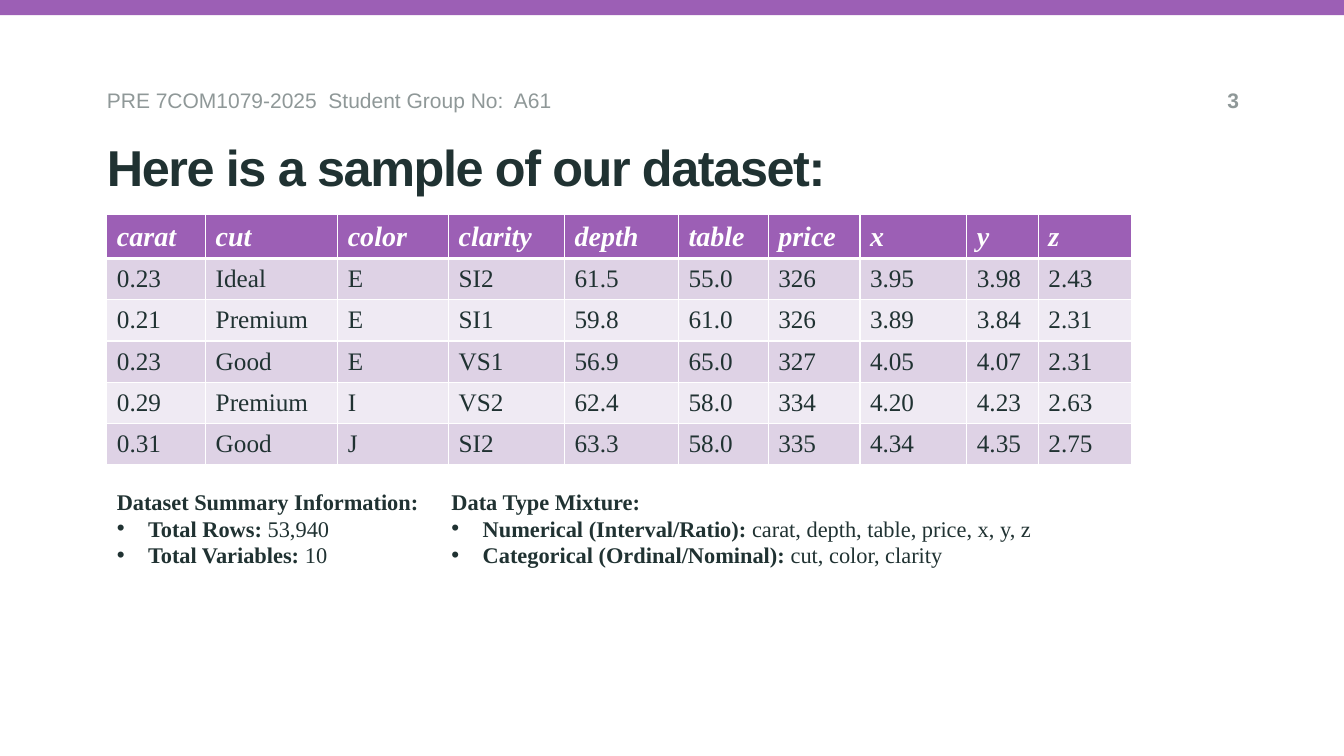
from dataclasses import dataclass

import lxml.etree
import pptx
import pptx.dml.color
import pptx.enum.shapes
import pptx.enum.text
import pptx.oxml
import pptx.oxml.ns
import pptx.shapes.autoshape
import pptx.slide
import pptx.table
import pptx.text.text
import pptx.util
from pptx.dml.color import RGBColor
from pptx.util import Inches, Pt

PURPLE = RGBColor(0x9C, 0x5F, 0xB5)
DARK_BAND = RGBColor(0xDE, 0xD2, 0xE5)
LIGHT_BAND = RGBColor(0xEF, 0xEA, 0xF3)
INK = RGBColor(0x20, 0x32, 0x32)
GREY = RGBColor(0x8F, 0x98, 0x98)
WHITE = RGBColor(0xFF, 0xFF, 0xFF)
SANS = "Arial"
SERIF = "Times New Roman"
LEFT = 1.06
ROW_HEIGHT = 0.41
COLUMN_WIDTHS = [0.98, 1.31, 1.1, 1.15, 1.13, 0.89, 0.91, 1.06, 0.71, 0.92]
DIAMONDS = [
    ["carat", "cut", "color", "clarity", "depth", "table", "price", "x", "y", "z"],
    ["0.23", "Ideal", "E", "SI2", "61.5", "55.0", "326", "3.95", "3.98", "2.43"],
    ["0.21", "Premium", "E", "SI1", "59.8", "61.0", "326", "3.89", "3.84", "2.31"],
    ["0.23", "Good", "E", "VS1", "56.9", "65.0", "327", "4.05", "4.07", "2.31"],
    ["0.29", "Premium", "I", "VS2", "62.4", "58.0", "334", "4.20", "4.23", "2.63"],
    ["0.31", "Good", "J", "SI2", "63.3", "58.0", "335", "4.34", "4.35", "2.75"],
]


@dataclass(frozen=True)
class TextStyle:
    font: str
    size: float
    color: RGBColor
    bold: bool = False
    italic: bool = False


@dataclass(frozen=True)
class Heading:
    text: str
    left: float
    top: float
    width: float
    height: float
    style: TextStyle
    align_right: bool = False


@dataclass(frozen=True)
class Summary:
    title: str
    left: float
    width: float
    facts: tuple[tuple[str, str], ...]


HEADER_CELL = TextStyle(SERIF, 20, WHITE, bold=True, italic=True)
BODY_CELL = TextStyle(SERIF, 18, INK)
SUMMARY_LABEL = TextStyle(SERIF, 16, INK, bold=True)
SUMMARY_VALUE = TextStyle(SERIF, 16, INK)

TITLE = Heading("Here is a sample of our dataset:", LEFT, 1.55, 7.87, 0.39,
                TextStyle(SANS, 36, INK, bold=True))
GROUP = Heading("PRE 7COM1079-2025  Student Group No:  A61", LEFT, 0.87, 7.85, 0.25,
                TextStyle(SANS, 15, GREY))
PAGE_NUMBER = Heading("3", 11.61, 0.87, 0.68, 0.25,
                      TextStyle(SANS, 15, GREY, bold=True), align_right=True)
SUMMARIES = [
    Summary("Dataset Summary Information:", LEFT, 4.01,
            (("Total Rows:", " 53,940"), ("Total Variables:", " 10"))),
    Summary("Data Type Mixture:", 4.38, 6.04,
            (("Numerical (Interval/Ratio):", " carat, depth, table, price, x, y, z"),
             ("Categorical (Ordinal/Nominal):", " cut, color, clarity"))),
]


def format_run(run: pptx.text.text._Run, style: TextStyle) -> None:
    run.font.name = style.font
    run.font.size = Pt(style.size)
    run.font.color.rgb = style.color
    run.font.bold = style.bold
    run.font.italic = style.italic


def add_top_band(slide: pptx.slide.Slide, width: int) -> None:
    band = slide.shapes.add_shape(
        pptx.enum.shapes.MSO_SHAPE.RECTANGLE, 0, 0, width, Inches(0.15))
    band.shadow.inherit = False
    band.fill.solid()
    band.fill.fore_color.rgb = PURPLE
    band.line.fill.background()


def add_heading(slide: pptx.slide.Slide, heading: Heading) -> pptx.text.text._Paragraph:
    """Draw one line of text in a box without insets."""
    box = slide.shapes.add_textbox(Inches(heading.left), Inches(heading.top),
                                   Inches(heading.width), Inches(heading.height))
    frame = box.text_frame
    frame.word_wrap = True
    frame.margin_left = frame.margin_right = frame.margin_top = frame.margin_bottom = 0
    frame.text = heading.text
    paragraph = frame.paragraphs[0]
    format_run(paragraph.runs[0], heading.style)
    if heading.align_right:
        paragraph.alignment = pptx.enum.text.PP_ALIGN.RIGHT
    return paragraph


def set_borders(cell: pptx.table._Cell, top: float, bottom: float) -> None:
    """Give the cell white borders: 1 pt at the sides, the given points above and below."""
    properties = cell._tc.get_or_add_tcPr()
    widths = {"lnL": 1, "lnR": 1, "lnT": top, "lnB": bottom}
    for position, (tag, width) in enumerate(widths.items()):
        line = lxml.etree.Element(pptx.oxml.ns.qn(f"a:{tag}"), w=str(Pt(width)))
        fill = lxml.etree.SubElement(line, pptx.oxml.ns.qn("a:solidFill"))
        lxml.etree.SubElement(fill, pptx.oxml.ns.qn("a:srgbClr"), val=str(WHITE))
        properties.insert(position, line)


def add_diamond_table(slide: pptx.slide.Slide) -> None:
    table = slide.shapes.add_table(
        len(DIAMONDS), len(COLUMN_WIDTHS), Inches(LEFT), Inches(2.13),
        Inches(sum(COLUMN_WIDTHS)), Inches(ROW_HEIGHT * len(DIAMONDS))).table
    for column, width in zip(table.columns, COLUMN_WIDTHS):
        column.width = Inches(width)
    for row_index, values in enumerate(DIAMONDS):
        table.rows[row_index].height = Inches(ROW_HEIGHT)
        is_header = row_index == 0
        band = PURPLE if is_header else DARK_BAND if row_index % 2 else LIGHT_BAND
        for column_index, value in enumerate(values):
            cell = table.cell(row_index, column_index)
            cell.text_frame.text = value
            cell.vertical_anchor = pptx.enum.text.MSO_ANCHOR.MIDDLE
            format_run(cell.text_frame.paragraphs[0].runs[0],
                       HEADER_CELL if is_header else BODY_CELL)
            cell.fill.solid()
            cell.fill.fore_color.rgb = band
            set_borders(cell, top=3 if row_index == 1 else 1, bottom=3 if is_header else 1)


def set_bullet(paragraph: pptx.text.text._Paragraph) -> None:
    properties = paragraph._p.get_or_add_pPr()
    indent = Inches(0.31)
    properties.set("marL", str(indent))
    properties.set("indent", str(-indent))
    lxml.etree.SubElement(properties, pptx.oxml.ns.qn("a:buFont"), typeface=SANS)
    lxml.etree.SubElement(properties, pptx.oxml.ns.qn("a:buChar"), char="•")


def add_summary(slide: pptx.slide.Slide, summary: Summary) -> None:
    box = slide.shapes.add_textbox(Inches(summary.left), Inches(4.79),
                                   Inches(summary.width), Inches(0.91))
    frame = box.text_frame
    frame.word_wrap = True
    frame.text = summary.title
    format_run(frame.paragraphs[0].runs[0], SUMMARY_LABEL)
    for label, value in summary.facts:
        paragraph = frame.add_paragraph()
        set_bullet(paragraph)
        for text, style in ((label, SUMMARY_LABEL), (value, SUMMARY_VALUE)):
            run = paragraph.add_run()
            run.text = text
            format_run(run, style)


def main() -> None:
    presentation = pptx.Presentation()
    presentation.slide_width = Inches(13.33)
    presentation.slide_height = Inches(7.5)
    slide = presentation.slides.add_slide(presentation.slide_layouts[6])

    add_top_band(slide, presentation.slide_width)
    title = add_heading(slide, TITLE)
    title.line_spacing = Pt(28.8)
    title.runs[0].font._element.set("spc", "-100")
    add_heading(slide, GROUP)
    add_heading(slide, PAGE_NUMBER)
    add_diamond_table(slide)
    for summary in SUMMARIES:
        add_summary(slide, summary)

    presentation.save("out.pptx")


if __name__ == "__main__":
    main()
